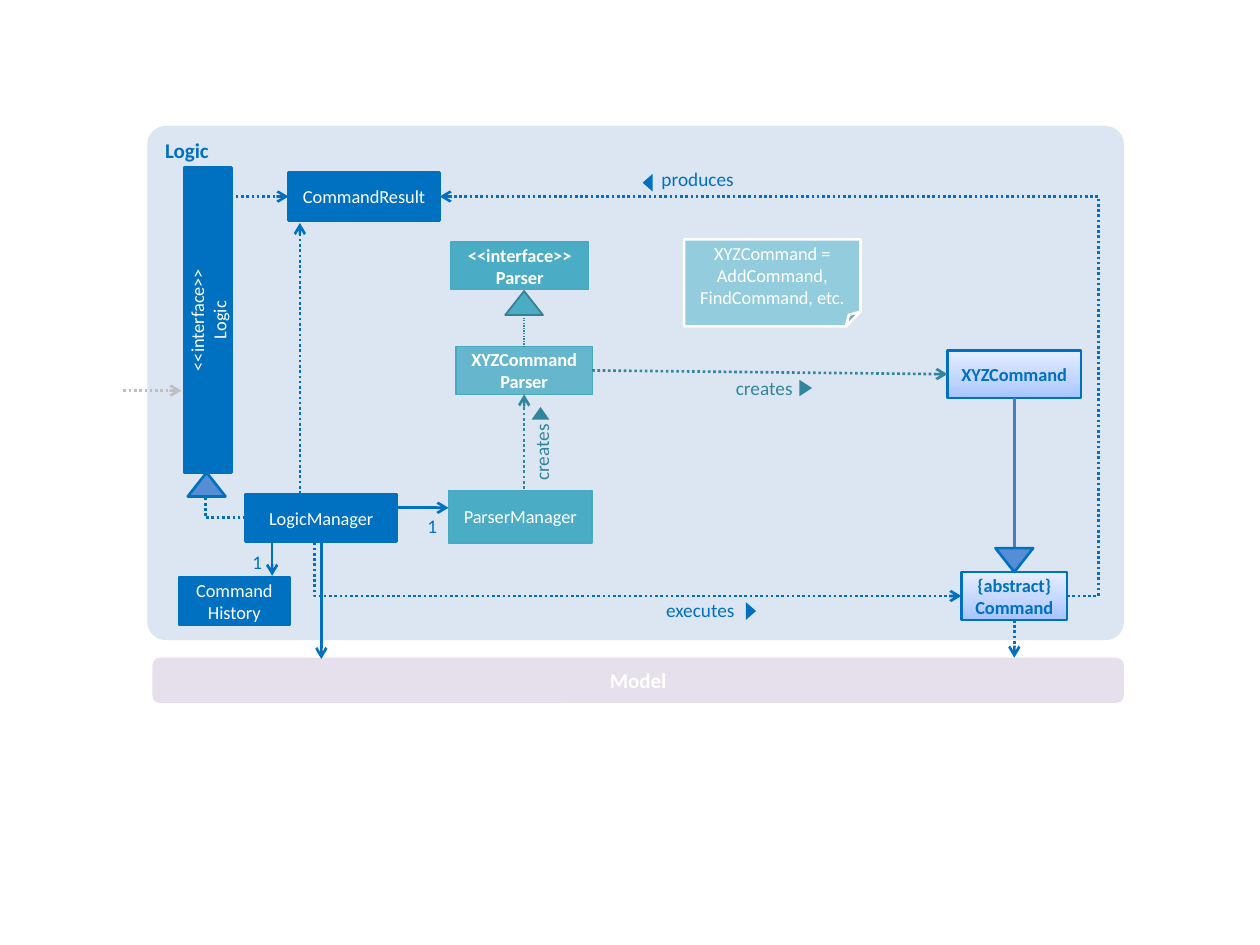
from copy import deepcopy

from lxml import etree
from pptx import Presentation
from pptx.dml.color import RGBColor
from pptx.enum import dml, shapes, text
from pptx.oxml import ns
from pptx.util import Inches, Pt

COLORS = {
    "blue": "0070C0", "panel": "DCE6F2", "model": "E6E0EC", "white": "FFFFFF",
    "teal": "4BACC6", "teal_edge": "46AAC5", "teal_dark": "31859C",
    "teal_line": "377F92", "note": "93CDDD", "head": "558ED5",
    "steel": "4B7EBC", "gray": "BFBFBF",
}
COMMAND_STOPS = [(0, "A4C4FF"), (0.35, "BFD4FF"), (1, "E6EEFF")]

STYLES = {
    "logic": dict(fill="blue", line=("blue", 1.5), color="white"),
    "parser": dict(fill="teal", line=("teal_edge", 0.75), color="white"),
    "command": dict(fill=None, line=("blue", 1.5), color="blue", bold=True),
}
BOXES = [
    ("CommandResult", (2.29, 1.37, 1.2, 0.38), "logic", {}),
    ("LogicManager", (1.95, 3.92, 1.2, 0.38), "logic", {}),
    ("Command\nHistory", (1.42, 4.58, 0.88, 0.38), "logic", {}),
    ("<<interface>>\nLogic", (0.44, 2.35, 2.42, 0.38), "logic", {"turn": 270}),
    ("ParserManager", (3.56, 3.89, 1.14, 0.42), "parser", {}),
    ("<<interface>>\nParser", (3.58, 1.92, 1.09, 0.38), "parser", {"bold": True}),
    ("XYZCommand\nParser", (3.62, 2.75, 1.08, 0.38), "parser", {"bold": True, "alpha": 81}),
    ("XYZCommand", (7.52, 2.78, 1.06, 0.38), "command", {}),
    ("{abstract}\vCommand", (7.63, 4.54, 0.84, 0.38), "command", {}),
]
SOLID, DOTTED = False, True
LINKS = [
    ((1.83, 1.56), (2.29, 1.56), "blue", 1.5, DOTTED, True),
    ((8.05, 4.92), (8.05, 5.22), "blue", 1.5, DOTTED, True),
    ((2.55, 4.3), (2.55, 5.23), "blue", 1.5, SOLID, True),
    ((0.98, 3.1), (1.44, 3.1), "gray", 1.5, DOTTED, True),
    ((2.38, 3.92), (2.38, 1.77), "blue", 1.5, DOTTED, True),
    ((8.05, 4.35), (8.05, 3.16), "steel", 1.5, SOLID, False),
    ((4.7, 2.94), (7.52, 2.97), "teal_dark", 1.5, DOTTED, True),
    ((2.16, 4.31), (2.16, 4.57), "blue", 1.5, SOLID, True),
    ((3.16, 4.03), (3.56, 4.03), "blue", 1.5, SOLID, True),
    ((4.16, 3.88), (4.16, 3.13), "teal_dark", 1.5, DOTTED, True),
    ((4.16, 2.5), (4.16, 2.75), "teal_dark", 0.75, DOTTED, False),
]
ELBOWS = [
    ((8.47, 4.73), (3.49, 1.56), True, -5000),
    ((2.5, 4.31), (7.63, 4.73), True, -100),
    ((1.95, 4.11), (1.63, 3.94), False, None),
]
INHERITANCE_HEADS = [
    ((1.49, 3.75), 0, "head", ("blue", 1.5)),
    ((7.9, 4.35), 180, "head", ("blue", 1.5)),
    ((4.01, 2.31), 0, "teal", ("teal_line", 1)),
]
DIRECTION_MARKS = [
    ((5.89, 4.81, 0.14, 0.08), 90, "blue"),
    ((5.07, 1.41, 0.14, 0.08), 270, "blue"),
    ((4.22, 3.23, 0.14, 0.1), 0, "teal_dark"),
    ((6.33, 3.03, 0.13, 0.1), 90, "teal_dark"),
]
LABELS = [
    ("executes", (5.03, 4.75, 0.8, 0.25), "blue", "RIGHT", 0),
    ("produces", (5.25, 1.33, 0.8, 0.25), "blue", "LEFT", 0),
    ("1", (3.33, 4.08, 0.14, 0.25), "blue", "RIGHT", 0),
    ("1", (1.94, 4.37, 0.14, 0.25), "blue", "RIGHT", 0),
    ("creates", (4.04, 3.37, 0.61, 0.28), "teal_dark", "LEFT", 270),
    ("creates", (5.84, 2.99, 0.65, 0.24), "teal_dark", "LEFT", 0),
]


def rgb(name):
    return RGBColor.from_string(COLORS[name])


def write(shape, words, size, color, align="CENTER", bold=False):
    frame = shape.text_frame
    frame.word_wrap = True
    frame.text = words
    for paragraph in frame.paragraphs:
        paragraph.alignment = text.PP_ALIGN[align]
        font = paragraph.font
        font.name, font.size, font.bold = "Calibri", Pt(size), bold
        font.color.rgb = rgb(color)


def fill_command(fill, shape):
    fill.gradient()
    fill.gradient_angle = 90
    stop_list = shape.element.spPr.find(".//" + ns.qn("a:gsLst"))
    stop_list.insert(1, deepcopy(stop_list[0]))
    for stop, (position, color) in zip(fill.gradient_stops, COMMAND_STOPS):
        stop.position = position
        stop.color.rgb = RGBColor.from_string(color)


def add_block(kind, place, fill, line=None, turn=0, alpha=None):
    shape = slide.shapes.add_shape(shapes.MSO_SHAPE[kind], *map(Inches, place))
    shape.shadow.inherit = False
    shape.rotation = turn
    if fill:
        shape.fill.solid()
        shape.fill.fore_color.rgb = rgb(fill)
    else:
        fill_command(shape.fill, shape)
    if alpha:
        color = shape.element.spPr.find(ns.qn("a:solidFill"))[0]
        etree.SubElement(color, ns.qn("a:alpha"), val=str(alpha * 1000))
    if line:
        shape.line.color.rgb = rgb(line[0])
        shape.line.width = Pt(line[1])
    else:
        shape.line.fill.background()
    return shape


def add_link(start, end, color, width, dotted, arrow, kind="STRAIGHT"):
    link = slide.shapes.add_connector(
        shapes.MSO_CONNECTOR[kind], *map(Inches, start + end))
    link.line.color.rgb = rgb(color)
    link.line.width = Pt(width)
    if dotted:
        link.line.dash_style = dml.MSO_LINE.ROUND_DOT
    properties = link.element.spPr
    if arrow:
        etree.SubElement(properties.find(ns.qn("a:ln")), ns.qn("a:tailEnd"), type="arrow")
    etree.SubElement(properties, ns.qn("a:effectLst"))
    return link


def add_elbow(start, end, arrow, bend):
    elbow = add_link(start, end, "blue", 1.5, DOTTED, arrow, "ELBOW")
    geometry = elbow.element.spPr.find(ns.qn("a:prstGeom"))
    if bend is None:
        geometry.set("prst", "bentConnector2")
    else:
        etree.SubElement(geometry.find(ns.qn("a:avLst")), ns.qn("a:gd"),
                         name="adj1", fmla=f"val {bend}")


deck = Presentation()
deck.slide_width, deck.slide_height = Inches(10), Inches(7.5)
slide = deck.slides.add_slide(deck.slide_layouts[6])

logic = add_block("ROUNDED_RECTANGLE", (1.17, 1, 7.75, 4.08), "panel")
logic.adjustments[0] = 0.035
logic.text_frame.vertical_anchor = text.MSO_ANCHOR.TOP
write(logic, "Logic", 12, "blue", "LEFT", True)
model = add_block("ROUNDED_RECTANGLE", (1.21, 5.22, 7.71, 0.36), "model")
model.text_frame.vertical_anchor = text.MSO_ANCHOR.MIDDLE
write(model, "Model", 12, "white", bold=True)

for words, place, style, changes in BOXES:
    look = {**STYLES[style], **changes}
    color, bold = look.pop("color"), look.pop("bold", False)
    box = add_block("RECTANGLE", place, **look)
    box.text_frame.vertical_anchor = text.MSO_ANCHOR.MIDDLE
    write(box, words, 10.5, color, bold=bold)

for link in LINKS:
    add_link(*link)
for elbow in ELBOWS:
    add_elbow(*elbow)
for corner, turn, fill, line in INHERITANCE_HEADS:
    add_block("ISOSCELES_TRIANGLE", corner + (0.3, 0.19), fill, line, turn)
for place, turn, fill in DIRECTION_MARKS:
    add_block("ISOSCELES_TRIANGLE", place, fill, turn=turn)

for words, place, color, align, turn in LABELS:
    label = slide.shapes.add_textbox(*map(Inches, place))
    label.rotation = turn
    frame = label.text_frame
    frame.margin_left = frame.margin_right = frame.margin_top = frame.margin_bottom = 0
    write(label, words, 11, color, align)

note = add_block("FOLDED_CORNER", (5.43, 1.9, 1.4, 0.69), "note", ("white", 1.5))
note.text_frame.vertical_anchor = text.MSO_ANCHOR.MIDDLE
write(note, "XYZCommand = AddCommand, FindCommand, etc.", 10.5, "white")

deck.save("out.pptx")
